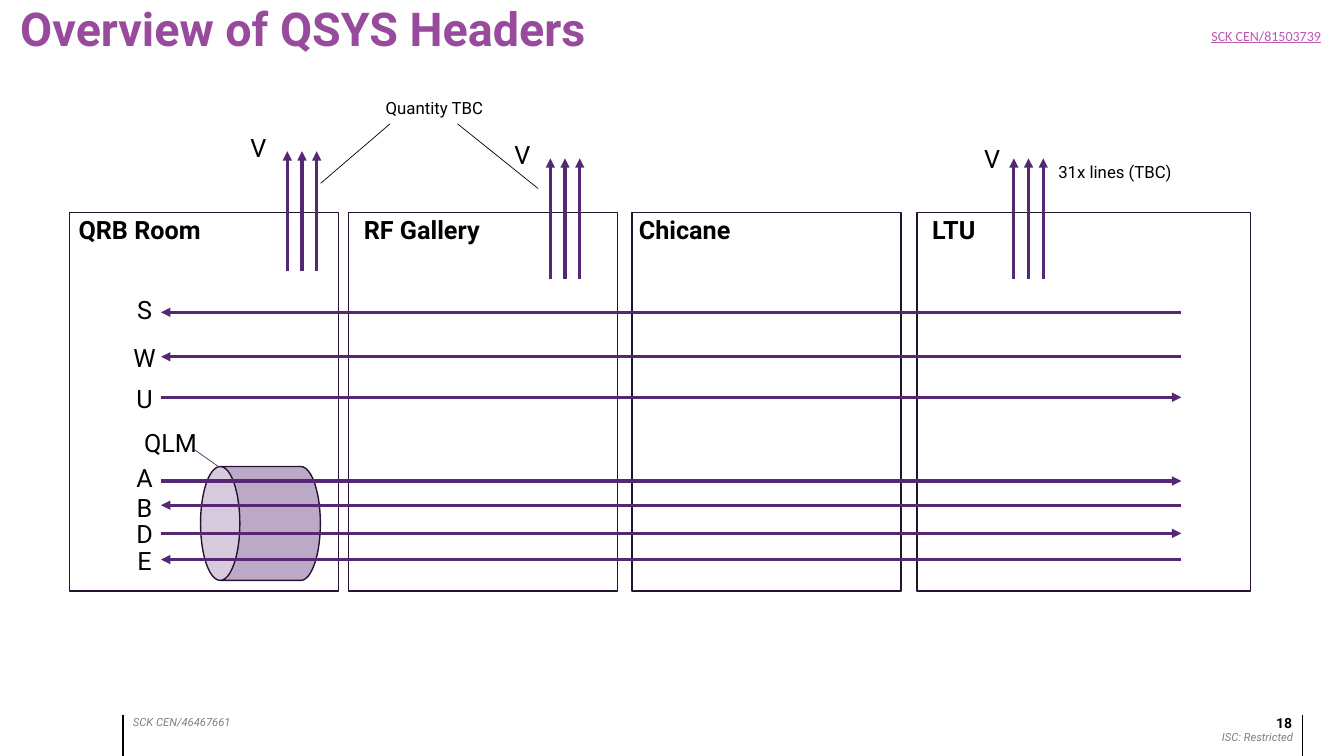
from pptx import Presentation
from pptx.dml.color import RGBColor as Rgb
from pptx.enum.shapes import MSO_CONNECTOR as Connector, MSO_SHAPE as Shape
from pptx.enum.text import MSO_ANCHOR as Anchor, MSO_AUTO_SIZE as AutoSize, PP_ALIGN as Align
from pptx.oxml.ns import qn
from pptx.util import Cm, Pt
from lxml.etree import SubElement

COLOURS = {
    "ink": "000000", "grey": "808080", "title": "984A9C",
    "link": "BC58AE", "header": "562873", "outline": "261232",
}
FOOTER = {"size": Pt(8), "italic": True}
ROOM = {"size": Pt(18), "bold": True}
LETTER = {"size": Pt(18)}
REMARK = {"size": Pt(12)}

ROOMS = [
    ("LTU", 23.11, 8.41, 23.24, 1.63),
    ("Chicane", 15.93, 6.78, 15.85, 2.87),
    ("RF Gallery", 8.79, 6.78, 8.92, 3.58),
    ("QRB Room", 1.75, 6.78, 1.73, 3.78),
]
HEADERS = [
    ("S", 7.87, 7.29, "left"), ("W", 8.99, 8.51, "left"),
    ("U", 10.01, 9.53, "right"), ("A", 12.12, 11.53, "right"),
    ("B", 12.73, 12.27, "left"), ("D", 13.44, 12.93, "right"),
    ("E", 14.1, 13.61, "left"),
]
VENTS = [
    (5.92, 3.2, 7.24, 3.81),
    (12.57, 3.38, 13.87, 3.99),
    (24.41, 3.48, 25.55, 3.99),
]
LEADERS = [
    (4.9, 11.33, 5.51, 11.76, "header"),
    (8.08, 4.62, 9.83, 3.12, "ink"),
    (11.53, 3.12, 13.56, 4.75, "ink"),
]
HEADER_LEFT, HEADER_RIGHT = 4.06, 29.77
VENT_STEP, VENT_LENGTH = 0.37, 3.03


def apply(target, values):
    """Set each named attribute of the target."""
    for name, value in values.items():
        setattr(target, name, value)


class HeaderSlide:
    """Style and drawing methods for the current slide."""

    def __init__(self, deck):
        """Add a title-only slide to the deck."""
        self.font = "Roboto"
        self.slide = deck.slides.add_slide(deck.slide_layouts[5])
        self.shapes = self.slide.shapes

    def colour(self, name):
        """Return a named colour."""
        return Rgb.from_string(COLOURS[name])

    def fill_frame(self, frame, content, style, colour="ink", align=Align.LEFT):
        """Fill a text frame with one formatted paragraph."""
        paragraph = frame.paragraphs[0]
        paragraph.alignment = align
        run = paragraph.add_run()
        run.text = content
        apply(run.font, {"name": self.font, **style})
        run.font.color.rgb = self.colour(colour)
        return paragraph

    def title(self, content):
        """Place the title in its placeholder."""
        heading = self.shapes.title
        apply(heading, {"left": Cm(0), "top": Cm(0), "width": Cm(16.66), "height": Cm(1.57)})
        frame = heading.text_frame
        apply(frame, {"margin_left": Cm(0.51), "vertical_anchor": Anchor.MIDDLE,
                      "word_wrap": True, "auto_size": AutoSize.NONE})
        paragraph = self.fill_frame(frame, content, {"size": Pt(33.3), "bold": True}, "title")
        apply(paragraph, {"line_spacing": 0.9, "space_before": Pt(0)})

    def text(self, content, box, style, colour="ink", align=Align.LEFT, **frame_values):
        """Add a text box."""
        frame = self.shapes.add_textbox(*map(Cm, box)).text_frame
        apply(frame, {"word_wrap": True, **frame_values})
        self.fill_frame(frame, content, style, colour, align)

    def line(self, x1, y1, x2, y2, colour, width, arrow=False):
        """Add a straight line, with an arrowhead at its end if asked."""
        rule = self.shapes.add_connector(Connector.STRAIGHT, *map(Cm, (x1, y1, x2, y2)))
        rule.line.color.rgb = self.colour(colour)
        rule.line.width = Pt(width)
        if arrow:
            SubElement(rule._element.spPr.find(qn("a:ln")), qn("a:tailEnd"), type="triangle")
        SubElement(rule._element.spPr, qn("a:effectLst"))

    def outline(self, preset, box):
        """Add an unfilled preset shape with the dark outline."""
        shape = self.shapes.add_shape(preset, *map(Cm, box))
        shape.shadow.inherit = False
        shape.fill.background()
        shape.line.color.rgb = self.colour("outline")
        shape.line.width = Pt(1)
        return shape

    def cylinder(self, box):
        """Add the translucent cylinder lying on its side."""
        can = self.outline(Shape.CAN, box)
        can.rotation = 270
        can.adjustments[0] = 0.345
        can.fill.solid()
        can.fill.fore_color.rgb = self.colour("header")
        tint = can._element.spPr.find(qn("a:solidFill"))[0]
        SubElement(tint, qn("a:alpha"), val="40000")

    def room(self, name, left, width, label_left, label_width):
        """Add a room with its name."""
        self.outline(Shape.RECTANGLE, (left, 5.36, width, 9.53))
        self.text(name, (label_left, 5.28, label_width, 1.02), ROOM, word_wrap=False)

    def letter(self, name, left, top):
        """Add the letter that marks a header."""
        self.text(name, (left, top, 1.19, 1.02), LETTER, align=Align.CENTER)

    def header(self, name, y, label_top, direction):
        """Add a header running through all rooms."""
        ends = (HEADER_LEFT, HEADER_RIGHT)
        start, stop = ends if direction == "right" else ends[::-1]
        self.line(start, y, stop, y, "header", 2.25, arrow=True)
        self.letter(name, 3.05, label_top)

    def vent(self, label_left, label_top, left, top):
        """Add three upward arrows with their letter."""
        self.letter("V", label_left, label_top)
        for index in range(3):
            x = left + index * VENT_STEP
            self.line(x, top + VENT_LENGTH, x, top, "header", 2.25, arrow=True)


def main():
    """Build and save the slide."""
    deck = Presentation()
    apply(deck, {"slide_width": Cm(33.87), "slide_height": Cm(19.05)})
    page = HeaderSlide(deck)
    page.title("Overview of QSYS Headers")
    page.text("SCK CEN/46467661", (3.1, 17.91, 3.99, 0.61), FOOTER, "grey")
    page.text("ISC: Restricted", (28.22, 18.29, 4.62, 0.61), FOOTER, "grey", Align.RIGHT)
    for x in (3.1, 32.82):
        page.line(x, 18.01, x, 19.05, "ink", 1)
    page.text("18", (24.94, 18.01, 7.62, 0.64), {"size": Pt(10), "bold": True},
              align=Align.RIGHT, margin_left=0, margin_top=0, margin_right=0, margin_bottom=0)
    page.text("SCK CEN/81503739", (30.28, 0.56, 3.58, 0.62),
              {"name": "Calibri", "size": Pt(10), "underline": True}, "link")
    page.cylinder((5.13, 11.68, 2.87, 3.02))
    for room in ROOMS:
        page.room(*room)
    for header in HEADERS:
        page.header(*header)
    for vent in VENTS:
        page.vent(*vent)
    page.text("QLM", (3.38, 10.64, 2.01, 1.02), LETTER)
    page.text("31x lines (TBC)", (26.42, 3.96, 3.38, 0.76), REMARK)
    page.text("Quantity TBC", (8.69, 2.34, 4.52, 0.76), REMARK, align=Align.CENTER)
    for *ends, colour in LEADERS:
        page.line(*ends, colour, 0.5)
    deck.save("out.pptx")


if __name__ == "__main__":
    main()
